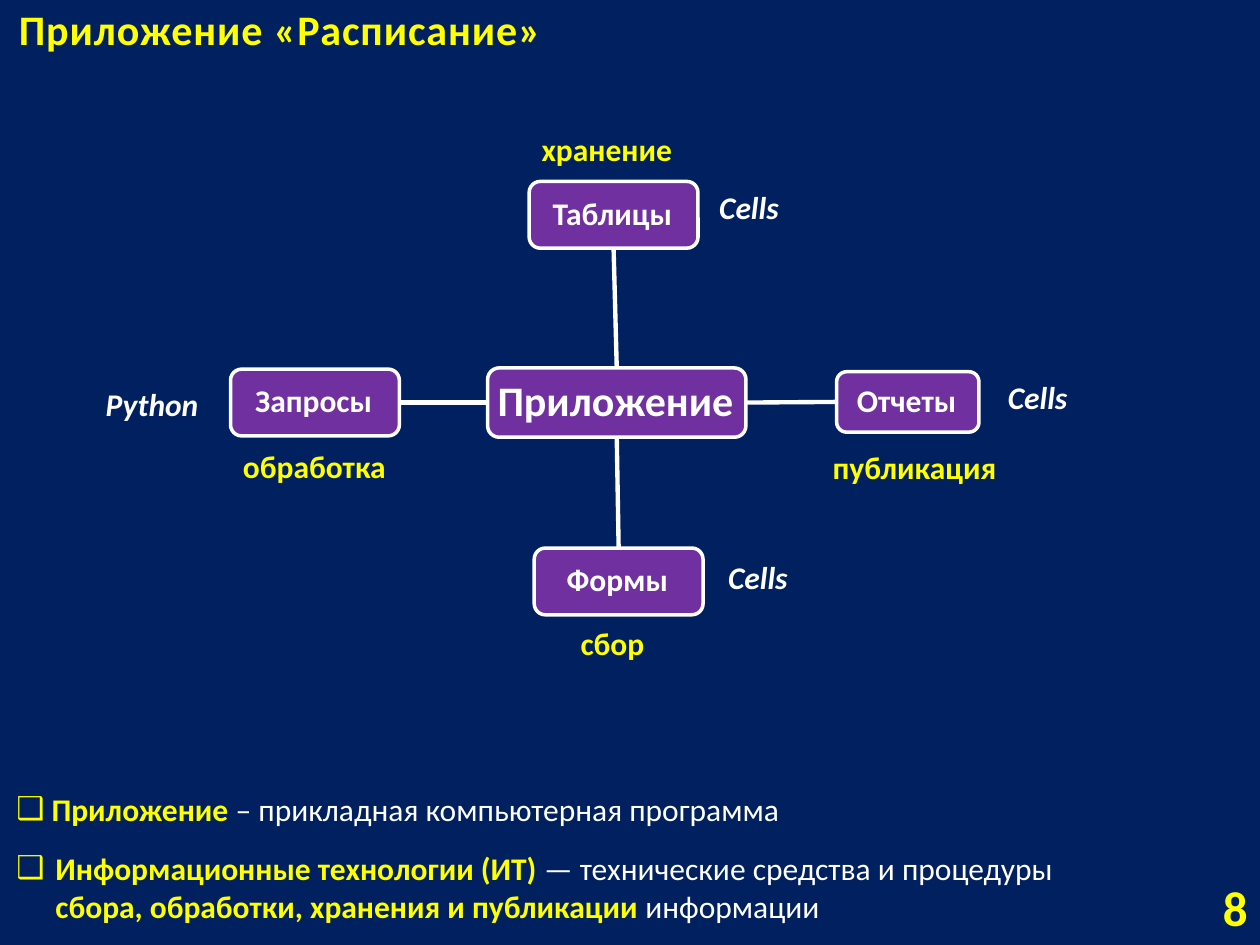
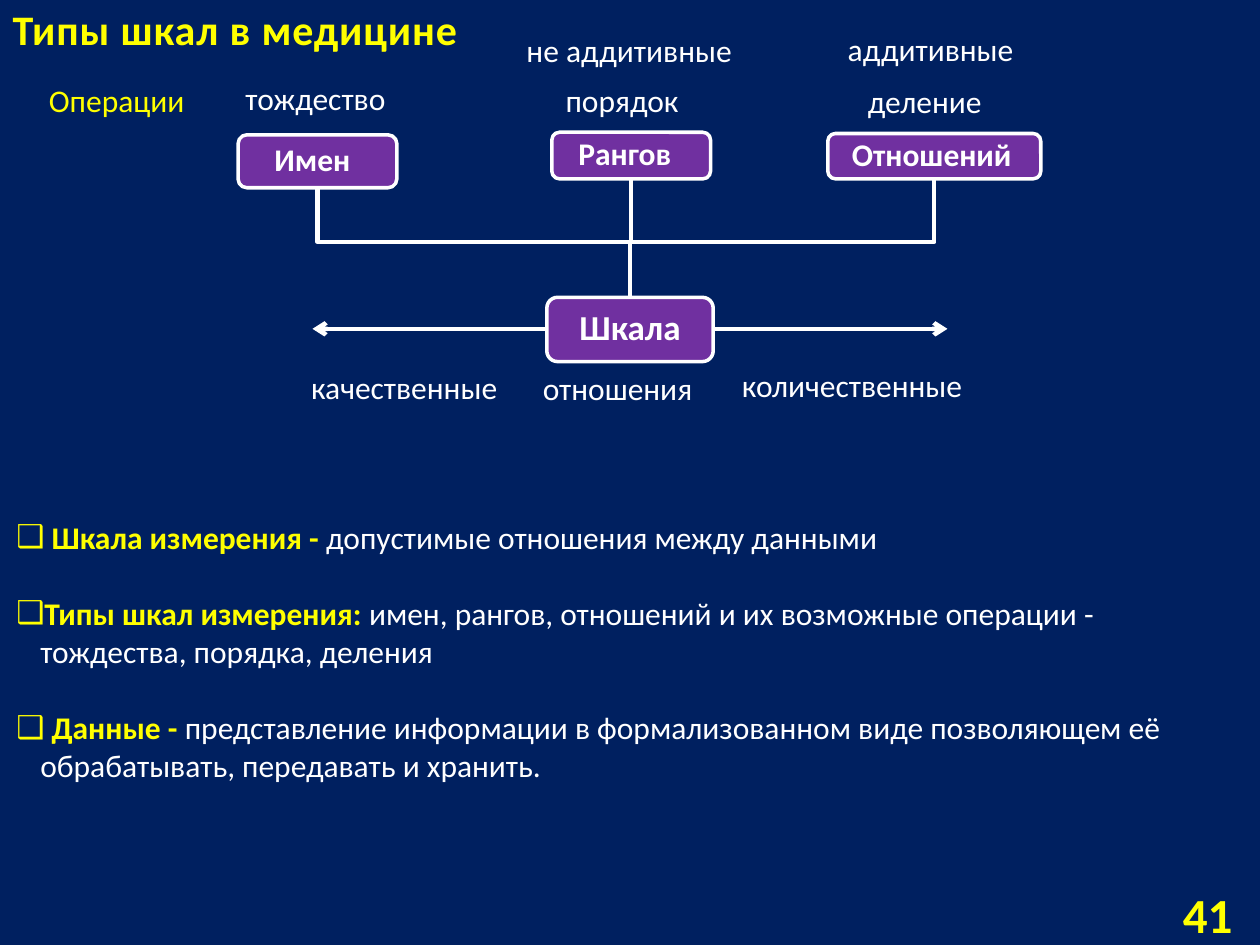
from dataclasses import dataclass

from lxml.etree import SubElement
from pptx import Presentation
from pptx.dml.color import RGBColor
from pptx.enum.shapes import MSO_CONNECTOR, MSO_SHAPE
from pptx.enum.text import MSO_ANCHOR, MSO_AUTO_SIZE, PP_ALIGN
from pptx.oxml.ns import qn
from pptx.util import Emu, Pt

EMU_PER_PX = 9144  # 100 px to the inch
TOP, LEFT, BOTTOM, RIGHT = range(4)  # connection sites of a box


@dataclass(frozen=True)
class Theme:
    font: str = "Calibri"
    background: RGBColor = RGBColor(0x00, 0x20, 0x60)
    box: RGBColor = RGBColor(0x70, 0x30, 0xA0)
    accent: RGBColor = RGBColor(0xFF, 0xFF, 0x00)
    text: RGBColor = RGBColor(0xFF, 0xFF, 0xFF)
    number_size: int = 28
    title_size: int = 24
    scale_size: int = 20
    text_size: int = 18
    box_line: float = 2
    connector_line: float = 2.5


def px(length):
    return Emu(round(length * EMU_PER_PX))


def apply_format(target, **values):
    for name, value in values.items():
        setattr(target, name, value)


class Deck:
    def __init__(self, theme):
        self.theme = theme
        self.presentation = Presentation()
        apply_format(self.presentation, slide_width=px(1000), slide_height=px(750))
        fill = self.presentation.slide_master.background.fill
        fill.solid()
        fill.fore_color.rgb = theme.background
        self.slide = None

    def place(self, shape, left, top, width, height):
        apply_format(shape, left=px(left), top=px(top), width=px(width), height=px(height))

    def run(self, paragraph, text, color=None, size=None, bold=False, italic=False):
        run = paragraph.add_run()
        run.text = text
        apply_format(run.font, name=self.theme.font, bold=bold, italic=italic,
                     size=Pt(size or self.theme.text_size))
        run.font.color.rgb = color or self.theme.text
        return run

    def new_slide(self, title, title_area, number, number_area):
        layout = self.presentation.slide_layouts[1]
        self.slide = self.presentation.slides.add_slide(layout)
        shape = self.slide.shapes.title
        self.place(shape, *title_area)
        apply_format(shape.text_frame, vertical_anchor=MSO_ANCHOR.BOTTOM,
                     auto_size=MSO_AUTO_SIZE.NONE, word_wrap=True)
        paragraph = shape.text_frame.paragraphs[0]
        paragraph.alignment = PP_ALIGN.LEFT
        run = self.run(paragraph, title, self.theme.accent, self.theme.title_size, bold=True)
        run._r.get_or_add_rPr().set("spc", "50")
        self.label(number, number_area, color=self.theme.accent, bold=True,
                   size=self.theme.number_size, alignment=PP_ALIGN.RIGHT,
                   anchor=MSO_ANCHOR.MIDDLE)

    def label(self, text, area, alignment=PP_ALIGN.LEFT, anchor=MSO_ANCHOR.TOP, **style):
        shape = self.slide.shapes.add_textbox(*map(px, area))
        apply_format(shape.text_frame, word_wrap=True, vertical_anchor=anchor)
        paragraph = shape.text_frame.paragraphs[0]
        paragraph.alignment = alignment
        self.run(paragraph, text, **style)

    def box(self, text, area, size=None, shift=0):
        """Rounded box; shift moves its text to the left."""
        shape = self.slide.shapes.add_shape(MSO_SHAPE.ROUNDED_RECTANGLE, *map(px, area))
        shape.shadow.inherit = False
        shape.fill.solid()
        shape.fill.fore_color.rgb = self.theme.box
        shape.line.color.rgb = self.theme.text
        shape.line.width = Pt(self.theme.box_line)
        apply_format(shape.text_frame, word_wrap=True, vertical_anchor=MSO_ANCHOR.MIDDLE,
                     margin_left=px(3), margin_right=px(3 + 2 * shift),
                     margin_top=px(3), margin_bottom=px(3))
        paragraph = shape.text_frame.paragraphs[0]
        apply_format(paragraph, alignment=PP_ALIGN.CENTER, line_spacing=0.9)
        self.run(paragraph, text, size=size, bold=True)
        return shape

    def line(self, start, end, kind=MSO_CONNECTOR.STRAIGHT, arrow=False):
        connector = self.slide.shapes.add_connector(kind, *map(px, (*start, *end)))
        connector.line.color.rgb = self.theme.text
        connector.line.width = Pt(self.theme.connector_line)
        if arrow:
            SubElement(connector.line._get_or_add_ln(), qn("a:tailEnd"), type="arrow")
        SubElement(connector._element.spPr, qn("a:effectLst"))
        return connector

    def elbow_down(self, start, end, bend):
        """Elbow that leaves start downwards and turns at height bend."""
        (start_x, start_y), (end_x, end_y) = start, end
        center_x, center_y = (start_x + end_x) / 2, (start_y + end_y) / 2
        half_width, half_height = (end_y - start_y) / 2, abs(end_x - start_x) / 2
        rightwards = end_x > start_x
        side = half_width if rightwards else -half_width
        connector = self.line((center_x + side, center_y - half_height),
                              (center_x - side, center_y + half_height),
                              MSO_CONNECTOR.ELBOW)
        properties = connector._element.spPr
        properties.find(qn("a:xfrm")).set("rot", str((270 if rightwards else 90) * 60000))
        adjustments = properties.find(qn("a:prstGeom")).find(qn("a:avLst"))
        share = round((bend - start_y) / (end_y - start_y) * 100000)
        SubElement(adjustments, qn("a:gd"), name="adj1", fmla=f"val {share}")

    def link(self, first, first_site, second, second_site):
        connector = self.line((0, 0), (0, 0))
        connector.begin_connect(first, first_site)
        connector.end_connect(second, second_site)

    def bullets(self, area, gap, items):
        """Each item is (hanging indent, runs); a run is (text, is key term)."""
        shape = self.slide.placeholders[1]
        self.place(shape, *area)
        frame = shape.text_frame
        apply_format(frame, word_wrap=True, auto_size=MSO_AUTO_SIZE.NONE,
                     vertical_anchor=MSO_ANCHOR.TOP)
        for index, (indent, runs) in enumerate(items):
            paragraph = frame.add_paragraph() if index else frame.paragraphs[0]
            properties = paragraph._p.get_or_add_pPr()
            properties.set("marL", str(px(indent)))
            properties.set("indent", str(px(-indent)))
            SubElement(properties, qn("a:buChar"), char="❑")
            apply_format(paragraph, alignment=PP_ALIGN.LEFT,
                         space_before=Pt(gap if index else 0), space_after=Pt(0))
            for text, key in runs:
                self.run(paragraph, text, self.theme.accent if key else None, bold=key)


def application_slide(deck):
    deck.new_slide("Приложение «Расписание»", (5, 0, 446, 48), "8", (905, 700, 95, 40))

    # Centre and its four parts: name, area, site on the centre, site on the part
    center = deck.box("Приложение", (387, 292, 205, 55), deck.theme.title_size, shift=1)
    parts = [
        ("Таблицы", (420, 144, 134, 53), TOP, BOTTOM),
        ("Запросы", (183, 293, 134, 53), LEFT, RIGHT),
        ("Формы", (424, 435, 134, 53), BOTTOM, TOP),
        ("Отчеты", (664, 295, 113, 48), RIGHT, LEFT),
    ]
    for name, area, center_site, part_site in parts:
        deck.link(center, center_site, deck.box(name, area, shift=1), part_site)

    # What each part does, and the tool for it
    for role, left, top, width in [("хранение", 420, 98, 134), ("обработка", 183, 350, 149),
                                   ("сбор", 451, 490, 80), ("публикация", 651, 351, 155)]:
        deck.label(role, (left, top, width, 40), color=deck.theme.accent, bold=True)
    for tool, left, top, width in [("Cells", 561, 144, 74), ("Python", 74, 301, 98),
                                   ("Cells", 568, 438, 74), ("Cells", 790, 295, 74)]:
        deck.label(tool, (left, top, width, 40), bold=True, italic=True)

    # Definitions
    deck.bullets((3, 622, 890, 118), 12, [
        (0, [(" Приложение", True), (" – прикладная компьютерная программа", False)]),
        (31, [("Информационные технологии (ИТ) ", True),
              ("— технические средства и процедуры ", False),
              ("сбора, обработки, хранения и публикации ", True),
              ("информации", False)]),
    ])


def scales_slide(deck):
    deck.new_slide("Типы шкал в медицине", (0, 10, 408, 38), "41", (926, 705, 62, 40))

    # Tree of scale types
    bus = 192
    scale_x, scale_top, scale_middle = 500, 236, 261
    types = [
        ("Имен", (189, 107, 126, 42), 4),
        ("Рангов", (438, 105, 126, 37), 5),
        ("Отношений", (657, 106, 169, 36), 2),
    ]
    for name, (left, top, width, height), shift in types:
        deck.elbow_down((left + width / 2, top + height), (scale_x, scale_top), bus)
        deck.box(name, (left, top, width, height), shift=shift)

    # Scale with arrows to both kinds
    for edge, tip in [(434, 248), (566, 752)]:
        deck.line((edge, scale_middle), (tip, scale_middle), arrow=True)
    deck.box("Шкала", (434, scale_top, 132, 51), deck.theme.scale_size)

    # Labels around the tree
    deck.label("Операции", (29, 59, 146, 40), color=deck.theme.accent)
    for text, left, top, width in [
        ("тождество", 185, 58, 146), ("порядок", 439, 59, 121), ("деление", 679, 60, 123),
        ("не аддитивные", 408, 20, 188), ("аддитивные", 663, 19, 154),
        ("качественные", 237, 287, 188), ("отношения", 421, 288, 158),
        ("количественные", 579, 286, 213),
    ]:
        deck.label(text, (left, top, width, 40))

    # Definitions
    definitions = [
        (" Шкала измерения - ", "допустимые отношения между данными"),
        ("Типы шкал измерения: ", "имен, рангов, отношений и их возможные операции - "
                                  "тождества, порядка, деления"),
        (" Данные - ", "представление информации в формализованном виде позволяющем её "
                       "обрабатывать, передавать и хранить."),
    ]
    deck.bullets((3, 406, 980, 252), 22,
                 [(19, [(term, True), (meaning, False)]) for term, meaning in definitions])


def main():
    deck = Deck(Theme())
    application_slide(deck)
    scales_slide(deck)
    deck.presentation.save("out.pptx")


if __name__ == "__main__":
    main()
